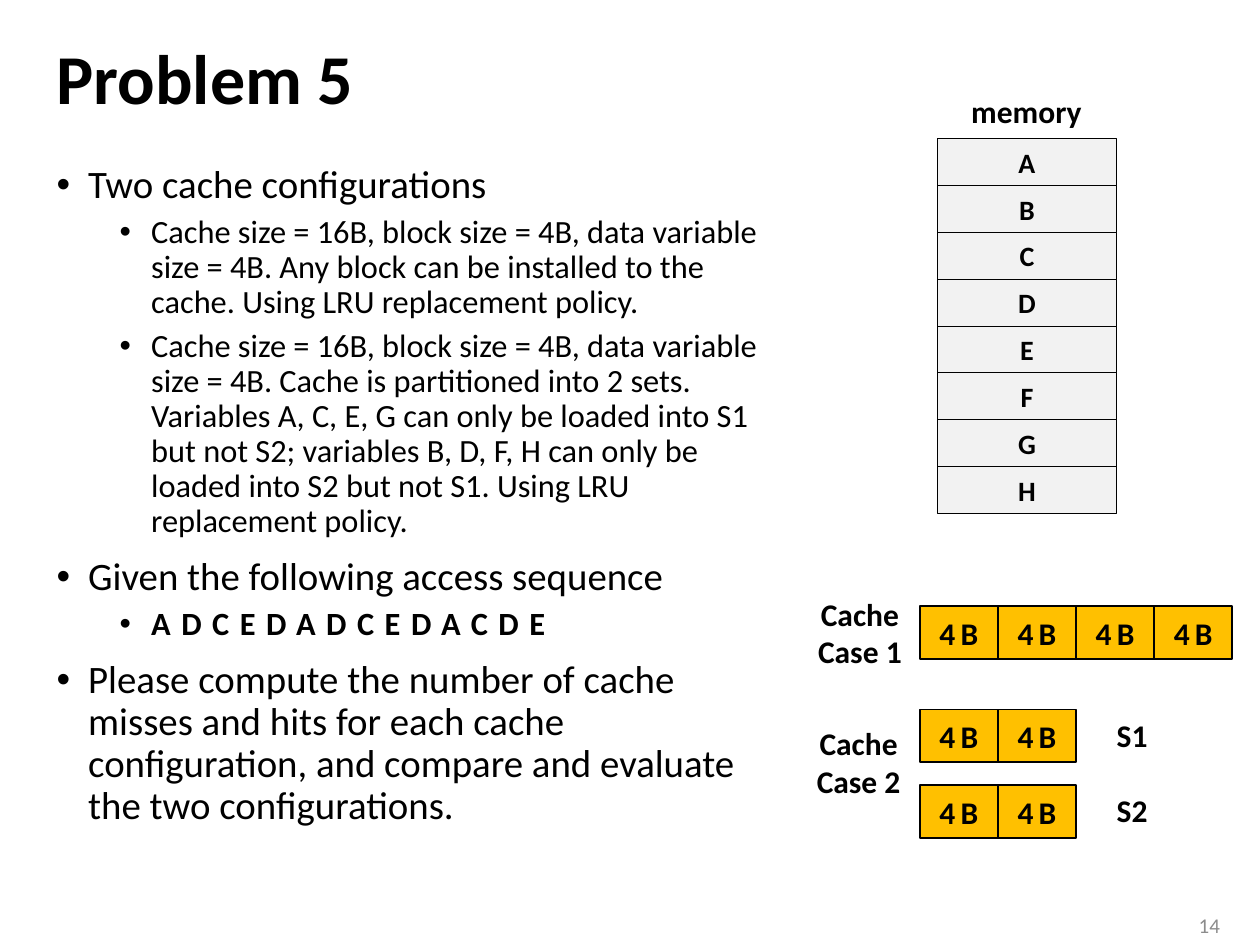
from dataclasses import dataclass

from lxml.etree import SubElement
from pptx import Presentation
from pptx.dml.color import RGBColor
from pptx.enum.shapes import MSO_SHAPE as Shape
from pptx.enum.text import MSO_ANCHOR as Anchor, MSO_AUTO_SIZE as AutoSize, PP_ALIGN as Align
from pptx.oxml.ns import qn
from pptx.util import Inches, Pt


@dataclass(frozen=True)
class Theme:
    font: str = "Calibri"
    ink: str = "000000"
    muted: str = "8C8C8C"
    memory: str = "F2F2F2"
    cache: str = "FFC000"
    title_size: float = 40
    item_size: float = 22.2
    detail_size: float = 18.5
    label_size: float = 18
    memory_size: float = 16
    number_size: float = 12


class SlideBuilder:
    def __init__(self, page, theme):
        self.page = page
        self.theme = theme

    def style(self, para, size, bold=False, color=None):
        font = para.font
        font.name = self.theme.font
        font.size = Pt(size)
        font.bold = bold
        font.color.rgb = RGBColor.from_string(color or self.theme.ink)

    def track(self, para, points):
        for span in para.runs:
            span.font._element.set("spc", str(points * 100))

    def place(self, box, left, top, width, height):
        box.left, box.top = Inches(left), Inches(top)
        box.width, box.height = Inches(width), Inches(height)

    def title(self, text, *bounds):
        box = self.page.shapes.title
        self.place(box, *bounds)
        frame = box.text_frame
        frame.text = text
        frame.auto_size = AutoSize.NONE
        frame.vertical_anchor = Anchor.MIDDLE
        para = frame.paragraphs[0]
        para.alignment = Align.LEFT
        para.line_spacing = 0.9
        self.style(para, self.theme.title_size, True)

    def bullets(self, items, *bounds):
        box = self.page.placeholders[1]
        self.place(box, *bounds)
        frame = box.text_frame
        frame.auto_size = AutoSize.NONE
        for index, (level, text, tracking) in enumerate(items):
            para = frame.add_paragraph() if index else frame.paragraphs[0]
            para.text = text
            para.level = level
            para.line_spacing = 0.9
            para.space_before = Pt((5 if level else 10) if index else 0)
            props = para._p.get_or_add_pPr()
            props.set("marL", str(Inches(0.25 + 0.5 * level)))
            props.set("indent", str(Inches(-0.25)))
            SubElement(props, qn("a:buFont")).set("typeface", "Arial")
            SubElement(props, qn("a:buChar")).set("char", "•")
            size = self.theme.detail_size if level else self.theme.item_size
            self.style(para, size, bool(tracking))
            if tracking:
                self.track(para, tracking)

    def label(self, lines, *bounds, align=Align.CENTER):
        box = self.page.shapes.add_textbox(*map(Inches, bounds))
        frame = box.text_frame
        frame.text = "\n".join(lines)
        frame.word_wrap = False
        for para in frame.paragraphs:
            para.alignment = align
            self.style(para, self.theme.label_size, True)

    def number(self, text, *bounds):
        box = self.page.shapes.add_textbox(*map(Inches, bounds))
        frame = box.text_frame
        frame.text = text
        frame.word_wrap = True
        frame.vertical_anchor = Anchor.MIDDLE
        para = frame.paragraphs[0]
        para.alignment = Align.RIGHT
        self.style(para, self.theme.number_size, color=self.theme.muted)

    def cell(self, text, fill, size, line, *bounds):
        box = self.page.shapes.add_shape(Shape.RECTANGLE, *map(Inches, bounds))
        box.shadow.inherit = False
        box.fill.solid()
        box.fill.fore_color.rgb = RGBColor.from_string(fill)
        box.line.color.rgb = RGBColor.from_string(self.theme.ink)
        box.line.width = Pt(line)
        frame = box.text_frame
        frame.text = text
        frame.vertical_anchor = Anchor.MIDDLE
        para = frame.paragraphs[0]
        para.alignment = Align.CENTER
        self.style(para, size, True)
        self.track(para, 3)

    def memory(self, names, left, top, width, height):
        for index, name in enumerate(names):
            self.cell(name, self.theme.memory, self.theme.memory_size, 0.5,
                      left, top + index * height, width, height)

    def cache_row(self, count, left, top, width=0.62, height=0.42):
        for index in range(count):
            self.cell("4B", self.theme.cache, self.theme.label_size, 1,
                      left + index * width, top, width, height)


ITEMS = [
    (0, "Two cache configurations", 0),
    (1, "Cache size = 16B, block size = 4B, data variable size = 4B. "
        "Any block can be installed to the cache. Using LRU replacement policy.", 0),
    (1, "Cache size = 16B, block size = 4B, data variable size = 4B. "
        "Cache is partitioned into 2 sets. Variables A, C, E, G can only be loaded "
        "into S1 but not S2; variables B, D, F, H can only be loaded into S2 but "
        "not S1. Using LRU replacement policy.", 0),
    (0, "Given the following access sequence", 0),
    (1, "ADCEDADCEDACDE", 6),
    (0, "Please compute the number of cache misses and hits for each cache "
        "configuration, and compare and evaluate the two configurations.", 0),
]


def main():
    deck = Presentation()
    deck.slide_width, deck.slide_height = Inches(10), Inches(7.5)
    page = deck.slides.add_slide(deck.slide_layouts[1])
    builder = SlideBuilder(page, Theme())

    builder.title("Problem 5", 0.35, 0.19, 9.29, 0.92)
    builder.bullets(ITEMS, 0.35, 1.26, 5.92, 5.83)
    builder.number("14", 9.27, 7.19, 0.51, 0.31)

    builder.label(["memory"], 7.61, 0.68, 1.08, 0.4, align=Align.LEFT)
    builder.memory("ABCDEFGH", 7.44, 1.1, 1.42, 0.372)

    builder.label(["Cache", "Case 1"], 6.39, 4.67, 0.87, 0.71)
    builder.cache_row(4, 7.3, 4.81)

    builder.label(["Cache", "Case 2"], 6.38, 5.7, 0.87, 0.71)
    for name, top in (("S1", 5.63), ("S2", 6.23)):
        builder.cache_row(2, 7.3, top)
        builder.label([name], 8.76, top, 0.45, 0.4)

    deck.save("out.pptx")


if __name__ == "__main__":
    main()
